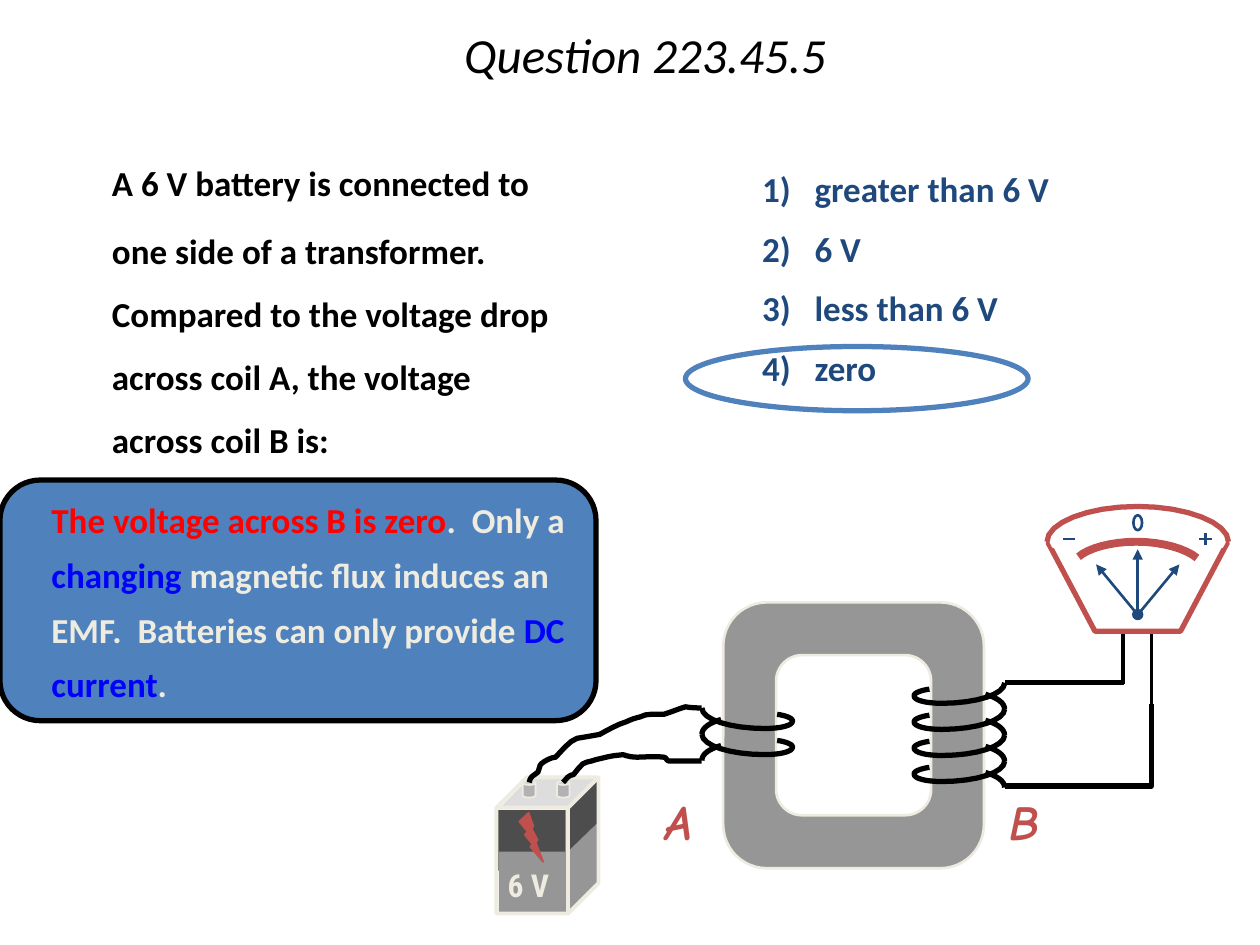
from lxml.etree import SubElement
from pptx import Presentation
from pptx.dml.color import RGBColor
from pptx.enum.shapes import MSO_CONNECTOR, MSO_SHAPE
from pptx.enum.text import MSO_ANCHOR, PP_ALIGN
from pptx.oxml.ns import qn
from pptx.util import Pt

C = {"black": "000000", "white": "FFFFFF", "blue": "4F81BD", "navy": "1F497D",
     "cream": "EEECE1", "red": "FF0000", "link": "0000FF", "brick": "C0504D",
     "grey": "969696", "dark": "4D4D4D", "lid": "DDDDDD", "pole": "B2B2B2"}


def paint(s, fill=None, line=None, width=1):
    s.shadow.inherit = False
    if fill:
        s.fill.solid()
        s.fill.fore_color.rgb = RGBColor.from_string(C[fill])
    else:
        s.fill.background()
    if line:
        s.line.color.rgb = RGBColor.from_string(C[line])
        s.line.width = Pt(width)
    else:
        s.line.fill.background()


def shape(sl, kind, x, y, w, h, fill=None, line=None, width=1, adj=None):
    s = sl.shapes.add_shape(kind, Pt(x), Pt(y), Pt(w), Pt(h))
    paint(s, fill, line, width)
    if adj is not None:
        s.adjustments[0] = adj


def outline(sl, x, y, pts, fill=None, line=None, width=1, close=False):
    pts = [(Pt(x + px), Pt(y + py)) for px, py in pts]
    builder = sl.shapes.build_freeform(*pts[0])
    builder.add_line_segments(pts[1:], close=close)
    paint(builder.convert_to_shape(), fill, line, width)


def bezier(pts, steps=8):
    """Points along a chain of cubic curves: a start, then triples."""
    out = [pts[0]]
    for i in range(0, len(pts) - 1, 3):
        for k in range(1, steps + 1):
            t = k / steps
            weights = ((1 - t) ** 3, 3 * t * (1 - t) ** 2, 3 * t * t * (1 - t), t ** 3)
            out.append(tuple(sum(w * p[axis] for w, p in zip(weights, pts[i:i + 4]))
                             for axis in (0, 1)))
    return out


def line(sl, x1, y1, x2, y2, color="black", width=1.5, arrow=False):
    s = sl.shapes.add_connector(MSO_CONNECTOR.STRAIGHT, Pt(x1), Pt(y1), Pt(x2), Pt(y2))
    s.line.color.rgb = RGBColor.from_string(C[color])
    s.line.width = Pt(width)
    if arrow:
        SubElement(s.line._get_or_add_ln(), qn("a:tailEnd"), type="triangle")
    SubElement(s._element.spPr, qn("a:effectLst"))


def text(sl, box, paragraphs, size, color="black", font="Calibri", hang=0,
         wrap=True, anchor=MSO_ANCHOR.TOP, para=None, **style):
    """Each paragraph is a list of (text, overrides) runs."""
    tf = sl.shapes.add_textbox(*map(Pt, box)).text_frame
    tf.word_wrap, tf.vertical_anchor = wrap, anchor
    for i, runs in enumerate(paragraphs):
        p = tf.paragraphs[0] if i == 0 else tf.add_paragraph()
        if hang:
            pPr = p._p.get_or_add_pPr()
            pPr.set("marL", str(Pt(hang)))
            pPr.set("indent", str(-Pt(hang)))
        for key, value in (para or {}).items():
            if i or key != "space_before":
                setattr(p, key, value)
        for content, changes in runs:
            r = p.add_run()
            r.text = content
            fmt = {"name": font, "size": Pt(size), **style, **changes}
            hue = fmt.pop("color", color)
            for key, value in fmt.items():
                setattr(r.font, key, value)
            r.font.color.rgb = RGBColor.from_string(C[hue])


def title(sl, box):
    text(sl, box, [[("Question 223.45.5", {})]], 28, italic=True,
         anchor=MSO_ANCHOR.MIDDLE,
         para={"alignment": PP_ALIGN.CENTER, "line_spacing": 0.9})


def question(sl, box):
    body = ("A 6 V battery is connected to one side of a transformer.  Compared to "
            "the voltage drop across coil A, the voltage across coil B is:")
    text(sl, box, [[("\t", {"size": Pt(36)}), (body, {})]], 20, hang=31.7,
         bold=True, para={"line_spacing": 1.5})


def choices(sl, x, y, w, h):
    # Ring around the right choice
    shape(sl, MSO_SHAPE.OVAL, x - 36.7, y + 105.8, 195.8, 36.7, line="blue", width=3)
    options = ["greater than 6 V", "6 V", "less than 6 V", "zero"]
    text(sl, (x, y, w, h), [[(f"{n})\t{o}", {})] for n, o in enumerate(options, 1)],
         20, "navy", hang=30, bold=True, para={"space_before": Pt(10)})


def explanation(sl, x, y, w, h):
    shape(sl, MSO_SHAPE.ROUNDED_RECTANGLE, x, y, w, h, "blue", "black", 3, 0.167)
    runs = [("\t", {}), ("The voltage across B is zero", {"color": "red"}),
            (".  Only a ", {}), ("changing", {"color": "link"}),
            (" magnetic flux induces an EMF.  Batteries can only provide ", {}),
            ("DC current", {"color": "link"}), (".", {})]
    text(sl, (x, y, w + 5, h), [runs], 20, "cream", hang=22.3, bold=True,
         para={"line_spacing": 1.3})


def battery(sl, x, y, w, h):
    shape(sl, MSO_SHAPE.PARALLELOGRAM, x + 2.2, y, 54.7, 17.3, "lid", adj=0.978)
    shape(sl, MSO_SHAPE.RECTANGLE, x + 0.7, y + 18.7, 38.9, 34.6, "dark")
    shape(sl, MSO_SHAPE.RECTANGLE, x + 1.4, y + 42.5, 39.6, 34.6, "grey")
    for top, color in ((1.4, "dark"), (25.5, "grey")):  # side faces
        outline(sl, x + 41, y + top, [(0, 16.8), (0, 51), (17.3, 34), (17.3, 0)],
                color, close=True)
    shape(sl, MSO_SHAPE.CUBE, x, y, w, h, line="cream", width=2.25, adj=0.297)
    for left in (15.1, 34.6):  # poles
        shape(sl, MSO_SHAPE.CAN, x + left, y + 2.2, 7.2, 9.4, "pole", "cream", adj=0.3)
    shape(sl, MSO_SHAPE.LIGHTNING_BOLT, x + 13, y + 20.2, 13.7, 28.1, "brick", "brick")
    text(sl, (x - 0.7, y + 44.6, 44.6, 38.9), [[("6 V", {})]], 18, "cream",
         "Roboto Condensed", wrap=False, bold=True, para={"line_spacing": 1.11})


def meter(sl, x, y, w):
    mid = w / 2
    red = {"line": "brick", "width": 3}
    # Case
    outline(sl, x, y, [(0.7, 20.9), (27.4, 71.3), (76.3, 71.3), (103, 20.9)],
            close=True, **red)
    outline(sl, x, y, [(0.7, 17.3), (3.6, 23), (100, 23), (103, 17.3)],
            "white", "white", 1.5, close=True)
    outline(sl, x, y, bezier([(0, 20.2), (0, 9.4), (23, 0), (mid, 0),
                              (80, 0), (w, 9.4), (w, 20.2)]), **red)
    # Scale
    outline(sl, x, y, bezier([(18, 28.8), (23.8, 23.8), (36.7, 20.2), (51.1, 20.2),
                              (66.2, 20.2), (80, 24.5), (85.7, 29.5)]),
            line="brick", width=4.5)
    # Needles
    shape(sl, MSO_SHAPE.OVAL, x + mid - 2.5, y + 59.3, 5, 5, "navy", "navy", 1.5)
    for dx, tip in ((0, 24.5), (23.8, 33.1), (-23.8, 33.1)):
        line(sl, x + mid, y + 61.9, x + mid + dx, y + tip, "navy", arrow=True)
    # Minus, plus and zero marks
    for x1, y1, x2, y2 in ((9.4, 18.7, 16, 18.7), (87.1, 18.7, 94.3, 18.7),
                           (90.7, 22.3, 90.7, 15.1)):
        line(sl, x + x1, y + y1, x + x2, y + y2, "navy")
    shape(sl, MSO_SHAPE.OVAL, x + mid - 2.5, y + 5, 5, 8.6, line="navy", width=1.5)


def core(sl, x, y, w, h, rim=30.2):
    for inset, fill in ((0, "grey"), (rim, "white")):
        shape(sl, MSO_SHAPE.ROUNDED_RECTANGLE, x + inset, y + inset, w - 2 * inset,
              h - 2 * inset, fill, "cream", 1.5, 0.167)


def coil(sl, x, y, turns, side, pitch=14.9):
    """Turns wound from the outer edge x; side is 1 to the right, -1 to the left."""
    front = [(0, 0), (0, 6.5), (16, 11.7), (36, 11.7), (44.6, 11.7), (51.8, 10.1),
             (51.8, 7.4), (51.8, 5.8), (48, 4.3), (43, 3.6)]
    back = [(0, 15.1), (0, 11.5), (4, 8.6), (11, 6.5)]
    for turn in range(turns):
        for pts in (front, back):
            outline(sl, x, y + turn * pitch, [(side * px, py) for px, py in bezier(pts)],
                    line="black", width=3)


def battery_wires(sl, x, y):
    upper = [(0, 43.2), (0.7, 39.6), (2.2, 39.6), (5, 37.4), (5.8, 36), (5.8, 33.1),
             (7.2, 32.4), (8.6, 31), (13, 28.8), (15.1, 28.8), (18, 25.9), (23, 19.4),
             (27.4, 18), (31.7, 17.3), (36, 16.6), (40.3, 15.8), (45.4, 13),
             (50.4, 10.1), (55.4, 8.6), (58.3, 7.2), (60.5, 6.5), (63.4, 5.8),
             (67, 3.6), (73.4, 4.3), (77, 4.3), (81.4, 2.9), (85, 1.4), (89.3, 0),
             (92.2, 0.7), (98.6, 0.7), (98.6, 0.7)]
    lower = [(19.4, 43.2), (20.9, 41.8), (21.6, 40.3), (23, 39.6), (23.8, 38.9),
             (25.2, 38.9), (25.2, 38.9), (26.6, 37.4), (27.4, 36), (28.8, 34.6),
             (31, 31), (34.6, 31.7), (38.2, 30.2), (44.6, 28.8), (45.4, 28.1),
             (53.3, 27.4), (54.7, 27.4), (55.4, 28.1), (56.2, 28.1), (58.3, 28.8),
             (61.9, 28.8), (61.9, 28.8), (64.1, 28.8), (73.4, 28.1), (77, 28.8),
             (78.5, 28.8), (78.5, 31), (79.9, 31), (86.4, 31), (92.2, 31), (98.6, 31)]
    for pts in (upper, lower):
        outline(sl, x, y, bezier(pts, 4), line="black", width=3)


def meter_wires(sl, x, y):
    line(sl, x + 67, y - 28, x + 67, y + 0.7, width=2.25)
    line(sl, x + 83.5, y - 28, x + 83.5, y + 13, width=2.25)
    line(sl, x, y, x + 67.7, y, width=3)
    outline(sl, x, y, [(0, 59), (83.5, 59), (83.5, 12.2)], line="black", width=3)


def circuit(sl, x, y):
    battery(sl, x, y + 154.8, 58.3, 77.8)
    for letter, left in (("A", 89.3), ("B", 285.8)):
        text(sl, (x + left, y + 159.2, 34, 41), [[(letter, {})]], 28, "brick",
             "Comic Neue", wrap=False, bold=True, italic=True)
    meter(sl, x + 314.6, y, 103.7)
    core(sl, x + 129.6, y + 54.8, 149, 151.9)
    coil(sl, x + 290.4, y + 100.8, 4, -1)
    coil(sl, x + 117.4, y + 115.2, 2, 1)
    meter_wires(sl, x + 290.8, y + 100.8)
    battery_wires(sl, x + 18.7, y + 114.5)


def main():
    prs = Presentation()
    prs.slide_width, prs.slide_height = Pt(720), Pt(540)
    sl = prs.slides.add_slide(prs.slide_layouts[6])
    explanation(sl, 0, 274.3, 340.6, 137.5)
    choices(sl, 428.4, 92.2, 256.3, 140.4)
    circuit(sl, 283.7, 289.4)
    title(sl, (51.8, 0, 633.6, 66.2))
    question(sl, (25.2, 51.1, 304.6, 172))
    prs.save("out.pptx")


if __name__ == "__main__":
    main()
